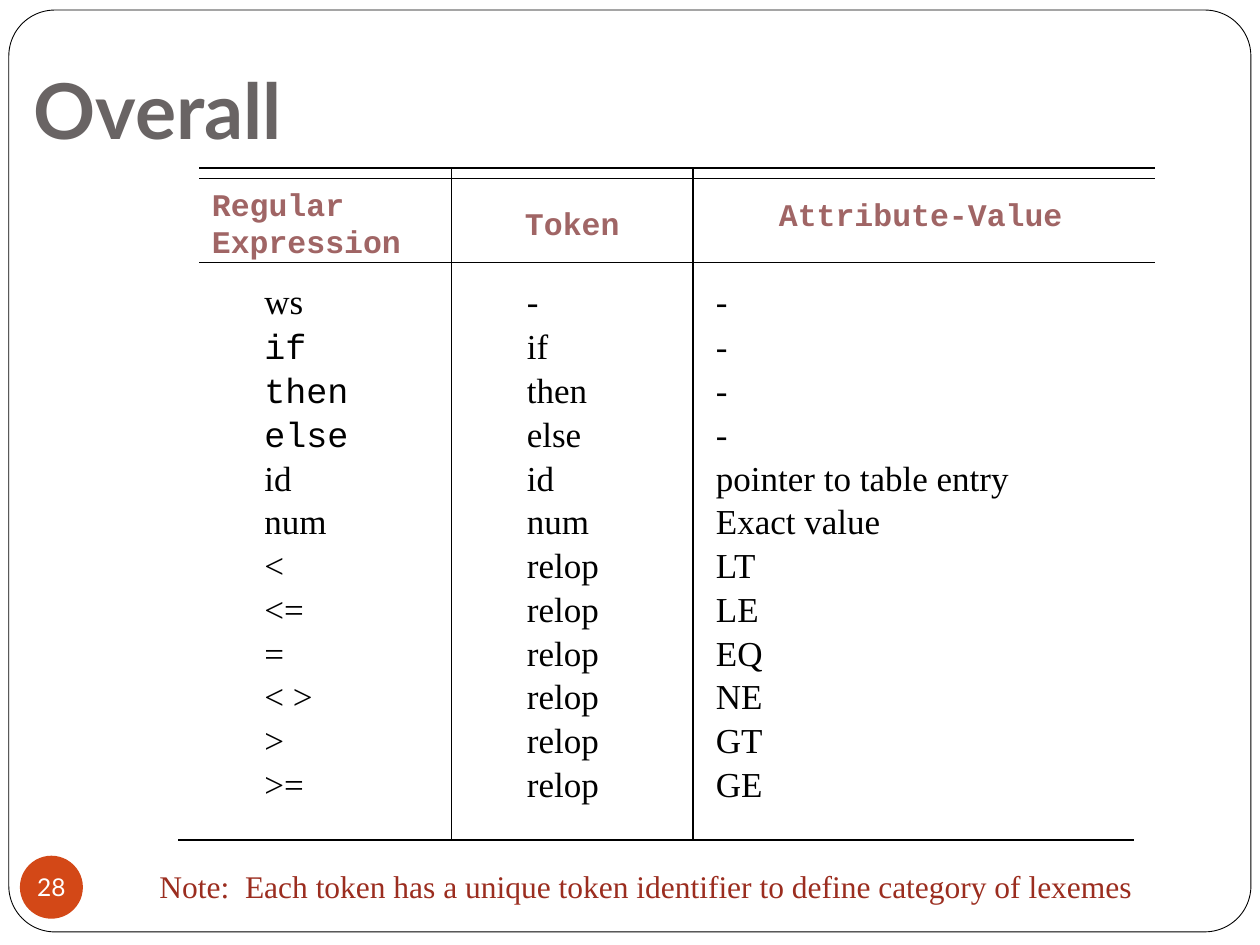
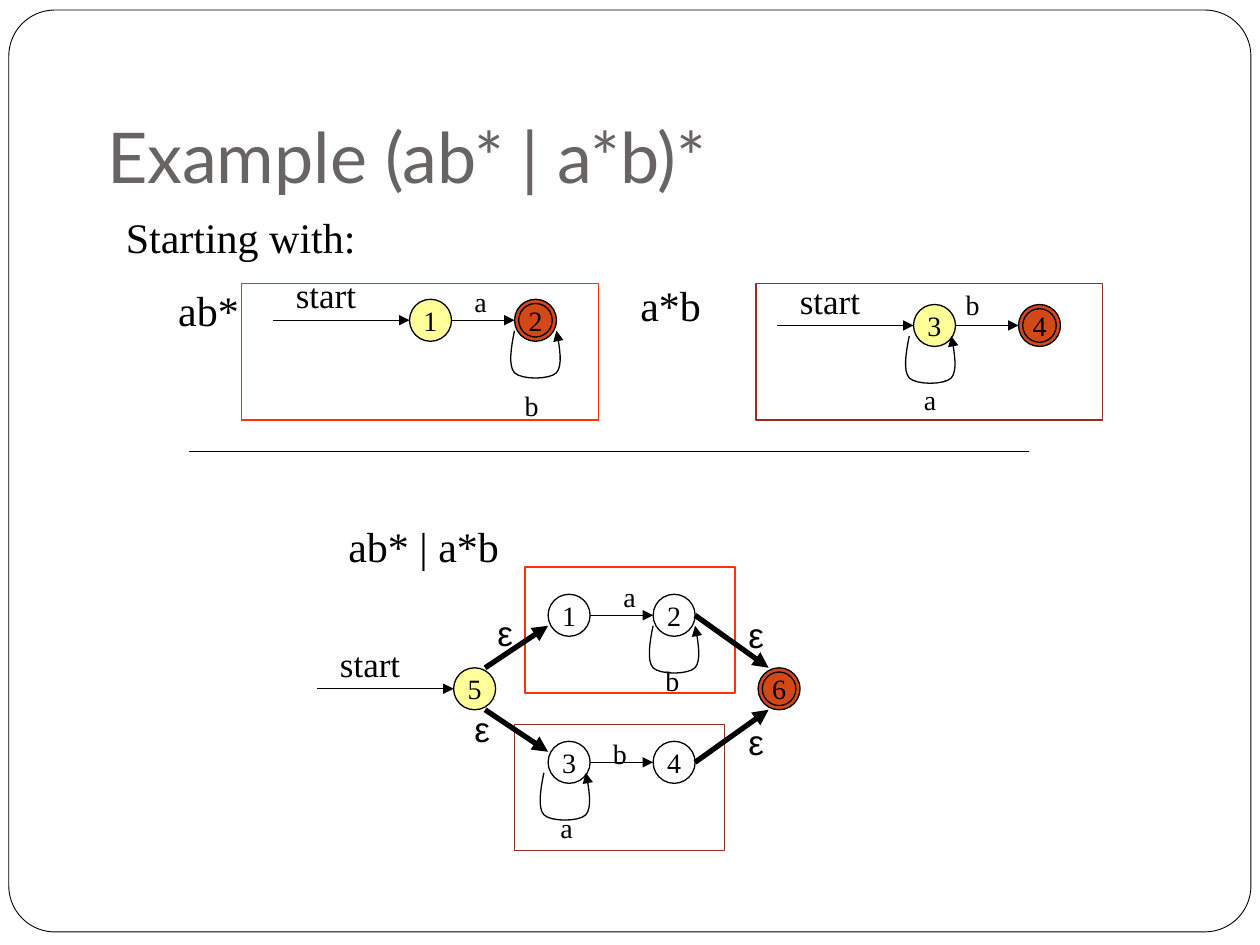
from lxml import etree
from pptx import Presentation
from pptx.dml.color import RGBColor
from pptx.enum.shapes import MSO_CONNECTOR, MSO_SHAPE
from pptx.enum.text import MSO_ANCHOR, MSO_AUTO_SIZE, PP_ALIGN
from pptx.oxml.ns import qn
from pptx.util import Inches, Pt

STRAIGHT = MSO_CONNECTOR.STRAIGHT
OVAL, RECTANGLE, ROUNDED = MSO_SHAPE.OVAL, MSO_SHAPE.RECTANGLE, MSO_SHAPE.ROUNDED_RECTANGLE
LEFT, CENTER = PP_ALIGN.LEFT, PP_ALIGN.CENTER
MIDDLE, BOTTOM = MSO_ANCHOR.MIDDLE, MSO_ANCHOR.BOTTOM
NO_AUTOFIT = MSO_AUTO_SIZE.NONE

# The slide is a grid of 120 columns by 90 rows, twelve to the inch
COLUMNS, ROWS, PER_INCH = 120, 90, 12

BLACK, WHITE, GRAY = "000000", "FFFFFF", "696464"
ORANGE, YELLOW, RED, BRICK, ROSE = "D34817", "FFFF99", "FF3300", "9B2D1F", "A06565"
SERIF, MONO, SANS, HEADING = "Times New Roman", "Courier New", "Arial", "Lato"

STATE = 4           # diameter of a state
STATE_STEP = 10     # from one state to the next
HEADERS = [         # text, box within the table, alignment
    ("Regular Expression", (0, 1, 25, 8.5), LEFT),
    ("Token", (24, 2.8, 23, 4.8), CENTER),
    ("Attribute-Value", (54, 2, 37, 4.8), LEFT),
]
COLUMN_BOXES = [(5, 10, 11, 54), (30, 10, 11, 54), (48, 10, 44, 54)]
TOKEN_ROWS = [
    ("ws", "-", "-"),
    ("if", "if", "-"),
    ("then", "then", "-"),
    ("else", "else", "-"),
    ("id", "id", "pointer to table entry"),
    ("num", "num", "Exact value"),
    ("<", "relop", "LT"),
    ("<=", "relop", "LE"),
    ("=", "relop", "EQ"),
    ("< >", "relop", "NE"),
    (">", "relop", "GT"),
    (">=", "relop", "GE"),
]
KEYWORDS = ("if", "then", "else")
LOOP_CURVES = [     # cubic curves, from the left end to the right end
    ((0, 0), (-0.33, 1.65), (-0.6, 3.3), (0, 4)),
    ((0, 4), (0.67, 4.67), (3.33, 4.67), (4, 4)),
    ((4, 4), (4.6, 3.3), (4.33, 1.65), (4, 0)),
]
CURVE_STEPS = 8


def color(value):
    return RGBColor.from_string(value)


def grid(*lengths):
    return [Inches(length / PER_INCH) for length in lengths]


def within(box, left, top, *size):
    return (box[0] + left, box[1] + top, *size)


def format_paragraph(paragraph, size, font_name, text_color, align=LEFT, bold=False):
    paragraph.alignment = align
    font = paragraph.font
    font.size, font.name, font.bold = Pt(size), font_name, bold
    font.color.rgb = color(text_color)


def add_text(slide, text, box, size, font_name=SERIF, text_color=BLACK,
             align=LEFT, bold=False, wrap=False):
    frame = slide.shapes.add_textbox(*grid(*box)).text_frame
    frame.word_wrap = wrap
    frame.text = text
    for paragraph in frame.paragraphs:
        format_paragraph(paragraph, size, font_name, text_color, align, bold)
    return frame


def add_shape(slide, kind, box, fill=None, line=BLACK, weight=0.75):
    shape = slide.shapes.add_shape(kind, *grid(*box))
    shape.shadow.inherit = False
    if fill:
        shape.fill.solid()
        shape.fill.fore_color.rgb = color(fill)
    else:
        shape.fill.background()
    if line:
        shape.line.color.rgb = color(line)
        shape.line.width = Pt(weight)
    else:
        shape.line.fill.background()
    return shape


def add_label(shape, text, size, font_name, text_color):
    frame = shape.text_frame
    frame.margin_left = frame.margin_right = frame.margin_top = frame.margin_bottom = 0
    frame.word_wrap, frame.vertical_anchor = False, MIDDLE
    frame.text = text
    format_paragraph(frame.paragraphs[0], size, font_name, text_color, CENTER)


def add_arrowhead(shape):
    outline = shape.element.spPr.find(qn("a:ln"))
    etree.SubElement(outline, qn("a:tailEnd"), type="triangle")


def add_line(slide, start, end, weight=0.75, arrow=False):
    line = slide.shapes.add_connector(STRAIGHT, *grid(*start, *end))
    line.line.color.rgb = color(BLACK)
    line.line.width = Pt(weight)
    if arrow:
        add_arrowhead(line)
    etree.SubElement(line.element.spPr, qn("a:effectLst"))


def add_titled_slide(presentation, title, box, size, bold=False):
    slide = presentation.slides.add_slide(presentation.slide_layouts[5])
    placeholder = slide.shapes.title
    placeholder.left, placeholder.top, placeholder.width, placeholder.height = grid(*box)
    frame = placeholder.text_frame
    frame.text = title
    frame.auto_size, frame.vertical_anchor = NO_AUTOFIT, BOTTOM
    frame.margin_bottom = Inches(0.1)
    format_paragraph(frame.paragraphs[0], size, HEADING, GRAY, bold=bold)
    return slide


def move_frame_to_master(presentation, slide):
    """Draw the rounded page frame once, behind every slide."""
    frame = add_shape(slide, ROUNDED, (0.84, 0.96, 118.3, 87.8), WHITE, BLACK, 0.5)
    frame.adjustments[0] = 0.05
    presentation.slide_master.shapes.element.insert(2, frame.element)


# Token table
def add_token_table(slide, box):
    _, _, width, height = box
    for left, top in ((0, 0), (0, 1), (0, 9), (-2, height)):
        start = within(box, left, top)
        add_line(slide, start, within(start, width, 0), 1)
    for left in (24, 47):
        add_line(slide, within(box, left, 0), within(box, left, height), 1)
    for text, header_box, align in HEADERS:
        add_text(slide, text, within(box, *header_box), 18, MONO, ROSE,
                 align, bold=True, wrap=True)
    for index, (column_box, entries) in enumerate(zip(COLUMN_BOXES, zip(*TOKEN_ROWS))):
        frame = add_text(slide, "\n".join(entries), within(box, *column_box), 20, wrap=True)
        for paragraph in frame.paragraphs[1:]:
            paragraph.line_spacing = 0.6
            paragraph.space_before = Pt(10.6)
            if index == 0 and paragraph.text in KEYWORDS:
                paragraph.font.name = MONO


def build_token_slide(presentation):
    slide = add_titled_slide(presentation, "Overall", (2, 1, 100, 15), 44, bold=True)
    move_frame_to_master(presentation, slide)
    badge = add_shape(slide, OVAL, (1.9, 81.5, 6, 6), ORANGE, None)
    add_label(badge, "28", 14, HEADING, WHITE)
    add_token_table(slide, (19, 16, 91, 64))
    add_text(slide, "Note:  Each token has a unique token identifier to define category of lexemes",
             (14, 82, 106, 4.8), 18, text_color=BRICK, wrap=True)


# Automata
def add_state(slide, name, position, fill=None):
    state = add_shape(slide, OVAL, (*position, STATE, STATE), fill)
    add_label(state, name, 16, SERIF, BLACK)
    if fill == ORANGE:  # accepting state: second ring
        add_shape(slide, OVAL, within(position, 0.4, 0.4, STATE - 0.8, STATE - 0.8))


def add_symbol(slide, symbol, position):
    add_text(slide, symbol, (*position, 3.6, 4.4), 16)


def add_start(slide, state):
    tip = within(state, 0, STATE / 2)
    add_line(slide, within(tip, -13, 0), tip, arrow=True)
    add_text(slide, "start", within(tip, -12, -5, 8.2, 5.2), 20)


def curve_point(curve, t):
    weights = ((1 - t) ** 3, 3 * t * (1 - t) ** 2, 3 * t ** 2 * (1 - t), t ** 3)
    return [sum(w * point[axis] for w, point in zip(weights, curve)) for axis in (0, 1)]


def add_loop(slide, position):
    points = [grid(*within(position, *curve_point(curve, step / CURVE_STEPS)))
              for curve in LOOP_CURVES for step in range(1, CURVE_STEPS + 1)]
    builder = slide.shapes.build_freeform(*grid(*position))
    builder.add_line_segments(points, close=False)
    loop = builder.convert_to_shape()
    loop.shadow.inherit = False
    loop.fill.background()
    loop.line.color.rgb = color(BLACK)
    loop.line.width = Pt(0.75)
    add_arrowhead(loop)


def add_automaton(slide, box, border, first, names, edge, loop, fills=(None, None)):
    """Frame two linked states; first, edge and loop give places inside the box."""
    origin = within(box, *first)
    states = [within(origin, index * STATE_STEP, 0) for index in (0, 1)]
    for name, state, fill in zip(names, states, fills):
        add_state(slide, name, state, fill)
    add_line(slide, within(origin, STATE, STATE / 2),
             within(states[1], 0, STATE / 2), arrow=True)
    symbol, *offset = edge
    add_symbol(slide, symbol, within(origin, *offset))
    symbol, index, shift, *offset = loop
    add_loop(slide, within(states[index], shift, 3))
    add_symbol(slide, symbol, within(states[index], *offset))
    add_shape(slide, RECTANGLE, box, line=border)
    return origin


def add_union(slide, box):
    """Join both automata between a new start and a new accepting state."""
    add_text(slide, "ab* | a*b", within(box, 2, 0, 16.8, 6), 24)
    add_automaton(slide, within(box, 20, 5, 20, 12), RED, (2.2, 2.6), "12",
                  ("a", 6, -2), ("b", 1, 0, 0, 6))
    add_automaton(slide, within(box, 19, 20, 20, 12), BRICK, (3.2, 1.6), "34",
                  ("b", 5, -1), ("a", 0, -0.4, 0, 6))
    first, last = within(box, 13.2, 14.6), within(box, 42.2, 14.6)
    add_state(slide, "5", first, YELLOW)
    add_state(slide, "6", last, ORANGE)
    add_start(slide, first)
    for side in (-1, 1):  # upper and lower branch
        add_line(slide, within(first, 3, 2 + 2 * side), within(first, 9, 2 + 6 * side), 3, True)
        add_line(slide, within(last, -6, 2 + 7 * side), within(last, 1, 2 + 2 * side), 3, True)
    for left, top in ((16.2, 8.6), (14, 17.8), (40.1, 8.8), (40.1, 19)):
        add_text(slide, "ε", within(box, left, top, 3.8, 5.2), 20, SANS)


def build_automata_slide(presentation):
    slide = add_titled_slide(presentation, "Example (ab* | a*b)*", (9, 5, 102, 15), 40)
    add_text(slide, "Starting with:", (10.8, 19.6, 25.3, 6), 24)
    # Starting automata
    add_text(slide, "ab*", (15.8, 26.5, 8.2, 6), 24)
    add_start(slide, add_automaton(
        slide, (23, 27, 34, 13), RED, (16, 1.5), "12",
        ("a", 5, -2), ("b", 1, 0, -0.2, 7.9), (YELLOW, ORANGE)))
    add_text(slide, "a*b", (59.8, 26, 8.2, 6), 24)
    add_start(slide, add_automaton(
        slide, (72, 27, 33, 13), BRICK, (15, 2), "34",
        ("b", 3.8, -2.2), ("a", 0, -0.4, -0.2, 6.8), (YELLOW, ORANGE)))
    # Divider and union
    add_line(slide, (18, 43), (98, 43))
    add_union(slide, (30, 49, 47, 32))


def main():
    presentation = Presentation()
    presentation.slide_width, presentation.slide_height = grid(COLUMNS, ROWS)
    build_token_slide(presentation)
    build_automata_slide(presentation)
    presentation.save("out.pptx")


if __name__ == "__main__":
    main()
